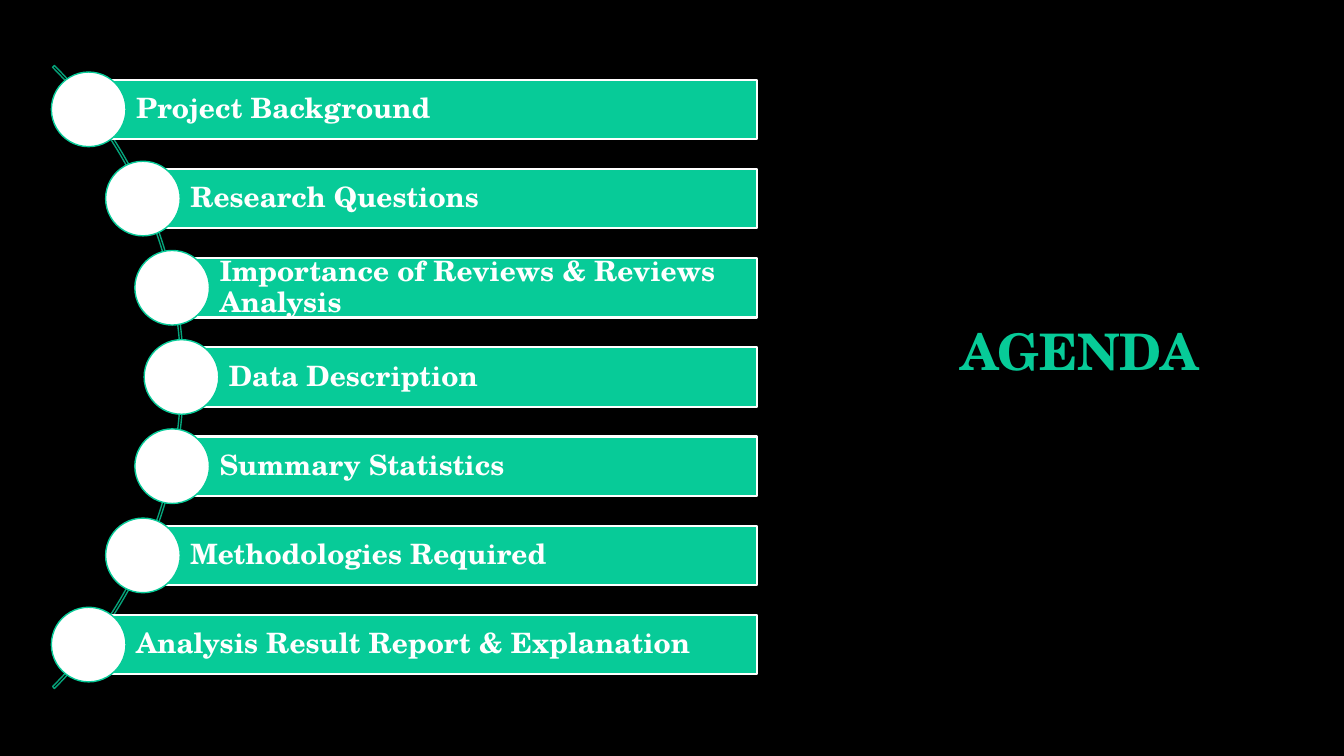
from math import sqrt
from pptx import Presentation
from pptx.dml.color import RGBColor
from pptx.enum.shapes import MSO_SHAPE
from pptx.enum.text import MSO_ANCHOR, PP_ALIGN
from pptx.util import Inches, Pt

COLORS = {"back": "000000", "green": "07CB98", "dark": "06A37A", "white": "FFFFFF"}
FONT = "TeX Gyre Schola"
TOPICS = [
    "Project Background",
    "Research Questions",
    "Importance of Reviews & Reviews Analysis",
    "Data Description",
    "Summary Statistics",
    "Methodologies Required",
    "Analysis Result Report & Explanation",
]
MID_X, MID_Y = 1.8, 3.74  # centre of the middle dot
STEP = 5.31 / 6
CURVE = 4.29  # radius of the curve the dots follow
RIGHT, BAR, DOT, ARC = 7.51, 0.59, 0.74, 8.74


def color(name):
    return RGBColor.from_string(COLORS[name])


class Deck:
    def __init__(self):
        self.file = Presentation()
        self.file.slide_width = Inches(13.33)
        self.file.slide_height = Inches(7.5)
        self.slide = self.file.slides.add_slide(self.file.slide_layouts[6])
        back = self.slide.background.fill
        back.solid()
        back.fore_color.rgb = color("back")

    def shape(self, kind, box, fill, line, width):
        item = self.slide.shapes.add_shape(kind, *map(Inches, box))
        item.shadow.inherit = False
        if fill:
            item.fill.solid()
            item.fill.fore_color.rgb = color(fill)
        else:
            item.fill.background()
        item.line.color.rgb = color(line)
        item.line.width = Pt(width)
        return item

    def label(self, item, text, size, ink, left, pad):
        """Put one bold line of text, left aligned, into a shape or box."""
        frame = item.text_frame
        frame.word_wrap = True
        frame.vertical_anchor = MSO_ANCHOR.MIDDLE
        frame.margin_left = Inches(left)
        frame.margin_right = frame.margin_top = frame.margin_bottom = Inches(pad)
        para = frame.paragraphs[0]
        para.text = text
        para.alignment = PP_ALIGN.LEFT
        para.line_spacing = 0.9
        para.font.name = FONT
        para.font.size = Pt(size)
        para.font.bold = True
        para.font.color.rgb = color(ink)

    def title(self, text, box):
        item = self.slide.shapes.add_textbox(*map(Inches, box))
        self.label(item, text, 36, "green", 0.8, 0.05)

    def arc(self):
        box = (-6.92, MID_Y - ARC / 2, ARC, ARC)
        item = self.shape(MSO_SHAPE.BLOCK_ARC, box, None, "dark", 1)
        for i, value in enumerate((189, 27, 0.003)):
            item.adjustments[i] = value

    def topic(self, text, x, y):
        """Draw a bar that starts at the centre of its dot."""
        box = (x, y - BAR / 2, RIGHT - x, BAR)
        bar = self.shape(MSO_SHAPE.RECTANGLE, box, "green", "white", 1.5)
        self.label(bar, text, 20, "white", 0.47, 0.06)
        box = (x - DOT / 2, y - DOT / 2, DOT, DOT)
        self.shape(MSO_SHAPE.OVAL, box, "white", "green", 1)


def main():
    deck = Deck()
    deck.title("AGENDA", (8.73, 2.66, 3.94, 1.7))
    deck.arc()
    for i, text in enumerate(TOPICS):
        drop = (i - len(TOPICS) // 2) * STEP
        x = MID_X - CURVE + sqrt(CURVE ** 2 - drop ** 2)
        deck.topic(text, x, MID_Y + drop)
    deck.file.save("out.pptx")


if __name__ == "__main__":
    main()
